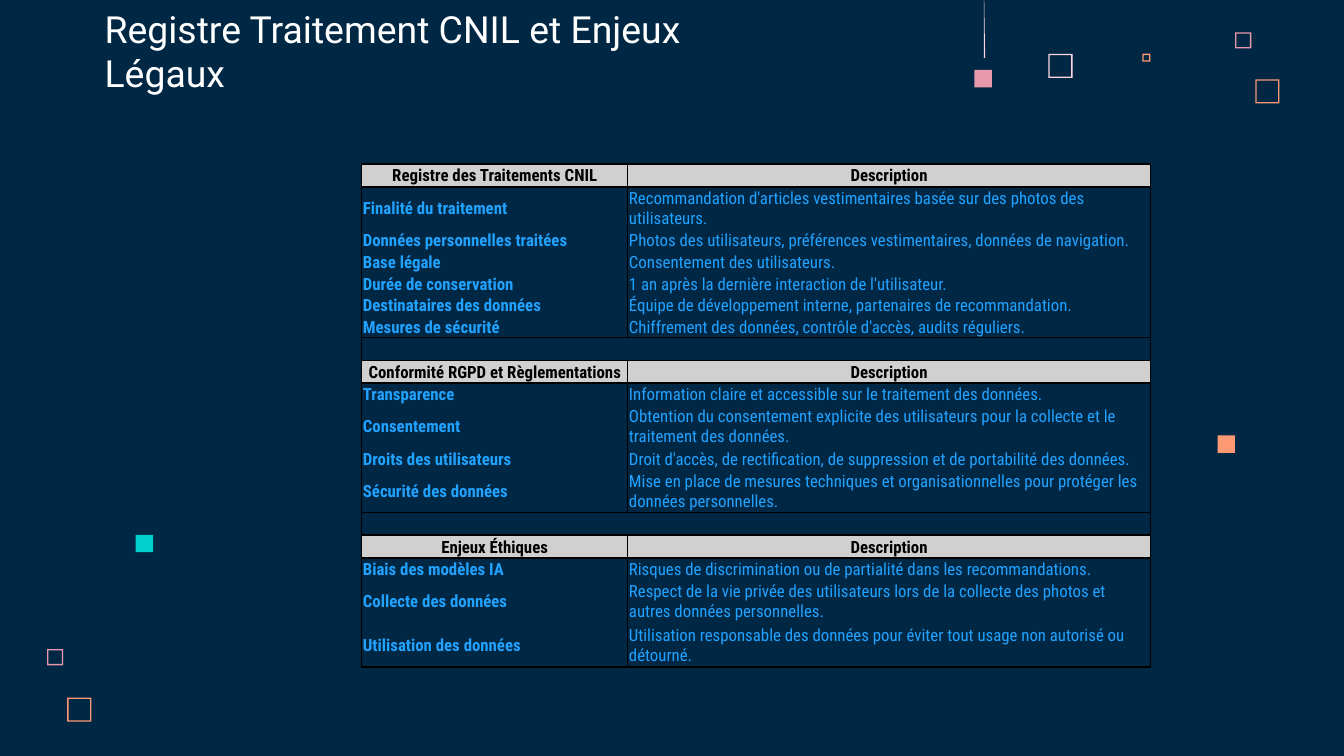
"""Build the slide on the CNIL register and its legal stakes."""
from typing import NamedTuple

from lxml.etree import SubElement
from pptx import Presentation
from pptx.dml.color import RGBColor
from pptx.enum.shapes import MSO_SHAPE as Kind
from pptx.enum.text import MSO_ANCHOR as Anchor, PP_ALIGN as Align
from pptx.oxml.ns import qn
from pptx.util import Inches, Pt

NAVY = RGBColor(0x00, 0x28, 0x45)
WHITE = RGBColor(0xFF, 0xFF, 0xFF)
BLACK = RGBColor(0x00, 0x00, 0x00)
BLUE = RGBColor(0x22, 0xA2, 0xFF)
GREY = RGBColor(0xD0, 0xD0, 0xD0)
PALE = RGBColor(0xFF, 0xD6, 0xE1)
PINK = RGBColor(0xE8, 0x98, 0xAC)
CORAL = RGBColor(0xFF, 0x99, 0x73)
TEAL = RGBColor(0x00, 0xCF, 0xCC)
NO_STYLE = "{2D5ABB26-0587-4C30-8999-92F81FD0307C}"


class Square(NamedTuple):
    left: float
    top: float
    size: float
    color: RGBColor


class Entry(NamedTuple):
    label: str
    text: str
    height: float = 0.16


class Section(NamedTuple):
    title: str
    entries: list[Entry]


FRAMES = [
    Square(7.8, 0.4, 0.18, PALE),
    Square(9.19, 0.24, 0.12, PINK),
    Square(8.5, 0.4, 0.06, CORAL),
    Square(9.34, 0.59, 0.18, CORAL),
    Square(0.35, 4.83, 0.12, PINK),
    Square(0.5, 5.19, 0.18, CORAL),
]
BLOCKS = [
    Square(7.25, 0.52, 0.13, PINK),
    Square(1.01, 3.98, 0.13, TEAL),
    Square(9.06, 3.24, 0.13, CORAL),
]
SECTIONS = [
    Section("Registre des Traitements CNIL", [
        Entry("Finalité du traitement", "Recommandation d'articles vestimentaires "
              "basée sur des photos des utilisateurs.", 0.32),
        Entry("Données personnelles traitées", "Photos des utilisateurs, préférences "
              "vestimentaires, données de navigation."),
        Entry("Base légale", "Consentement des utilisateurs."),
        Entry("Durée de conservation",
              "1 an après la dernière interaction de l'utilisateur."),
        Entry("Destinataires des données",
              "Équipe de développement interne, partenaires de recommandation."),
        Entry("Mesures de sécurité",
              "Chiffrement des données, contrôle d'accès, audits réguliers."),
    ]),
    Section("Conformité RGPD et Règlementations", [
        Entry("Transparence",
              "Information claire et accessible sur le traitement des données."),
        Entry("Consentement", "Obtention du consentement explicite des utilisateurs "
              "pour la collecte et le traitement des données.", 0.32),
        Entry("Droits des utilisateurs", "Droit d'accès, de rectification, de "
              "suppression et de portabilité des données."),
        Entry("Sécurité des données", "Mise en place de mesures techniques et "
              "organisationnelles pour protéger les données personnelles.", 0.32),
    ]),
    Section("Enjeux Éthiques", [
        Entry("Biais des modèles IA",
              "Risques de discrimination ou de partialité dans les recommandations."),
        Entry("Collecte des données", "Respect de la vie privée des utilisateurs lors "
              "de la collecte des photos et autres données personnelles.", 0.32),
        Entry("Utilisation des données", "Utilisation responsable des données pour "
              "éviter tout usage non autorisé ou détourné.", 0.33),
    ]),
]


def paint(shape, color: RGBColor) -> None:
    shape.shadow.inherit = False
    shape.fill.solid()
    shape.fill.fore_color.rgb = color
    shape.line.fill.background()


def add_path(slide, rings: list, color: RGBColor) -> None:
    rings = [[(Inches(x), Inches(y)) for x, y in ring] for ring in rings]
    path = slide.shapes.build_freeform(*rings[0][0])
    path.add_line_segments(rings[0][1:])
    for ring in rings[1:]:
        path.move_to(*ring[0])
        path.add_line_segments(ring[1:])
    paint(path.convert_to_shape(), color)


def add_frame(slide, item: Square) -> None:
    x, y, size, color = item
    x2, y2, rim = x + size, y + size, 0.01
    outer = [(x, y), (x, y2), (x2, y2), (x2, y)]
    inner = [(x2 - rim, y + rim), (x2 - rim, y2 - rim),
             (x + rim, y2 - rim), (x + rim, y + rim)]
    add_path(slide, [outer, inner], color)


def add_block(slide, item: Square) -> None:
    box = (item.left, item.top, item.size, item.size)
    paint(slide.shapes.add_shape(Kind.RECTANGLE, *map(Inches, box)), item.color)


def add_run(para, text: str, size: float, font: str, color: RGBColor,
            bold: bool = False) -> None:
    run = para.add_run()
    run.text = text
    run.font.size = Pt(size)
    run.font.name = font
    run.font.bold = bold
    run.font.color.rgb = color


def add_title(slide, text: str) -> None:
    box = slide.shapes.add_textbox(Inches(0.68), Inches(0.18), Inches(5.05), Inches(0.63))
    frame = box.text_frame
    frame.word_wrap = True
    frame.vertical_anchor = Anchor.BOTTOM
    frame.margin_left = frame.margin_right = Inches(0.1)
    frame.margin_top = frame.margin_bottom = Inches(0.1)
    add_run(frame.paragraphs[0], text, 20, "Roboto", WHITE)


def style_cell(cell, sides: str, fill: RGBColor | None = None) -> None:
    cell.vertical_anchor = Anchor.MIDDLE
    cell.margin_left = cell.margin_right = cell.margin_top = Inches(0.01)
    cell.margin_bottom = 0
    props = cell._tc.get_or_add_tcPr()
    for side in "LRTB":
        line = SubElement(props, qn(f"a:ln{side}"), w=str(Pt(1)))
        if side in sides:
            solid = SubElement(line, qn("a:solidFill"))
            SubElement(solid, qn("a:srgbClr"), val=str(BLACK))
        else:
            SubElement(line, qn("a:noFill"))
    if fill is None:
        cell.fill.background()
    else:
        cell.fill.solid()
        cell.fill.fore_color.rgb = fill


def fill_row(table, row: int, pair: tuple[str, str], sides: str, head: bool) -> None:
    for col, text in enumerate(pair):
        cell = table.cell(row, col)
        style_cell(cell, sides, GREY if head else None)
        para = cell.text_frame.paragraphs[0]
        para.alignment = Align.CENTER if head else Align.LEFT
        add_run(para, text, 9, "Roboto Condensed", BLACK if head else BLUE,
                head or col == 0)


def add_gap(table, row: int) -> None:
    cell = table.cell(row, 0)
    cell.merge(table.cell(row, 1))
    for part in (cell, table.cell(row, 1)):
        style_cell(part, "LRTB")
        SubElement(part.text_frame.paragraphs[0]._p, qn("a:endParaRPr"), sz="900")


def add_register(slide, sections: list[Section]) -> None:
    count = sum(len(sec.entries) + 2 for sec in sections) - 1
    table = slide.shapes.add_table(count, 2, Inches(2.69), Inches(1.22),
                                   Inches(5.87), Inches(3.74)).table
    table.first_row = table.horz_banding = False
    table._tbl.tblPr.find(qn("a:tableStyleId")).text = NO_STYLE
    for col, width in zip(table.columns, (1.98, 3.89)):
        col.width = Inches(width)
    for line in table.rows:
        line.height = Inches(0.17)
    row = 0
    for sec in sections:
        if row:
            add_gap(table, row)
            row += 1
        fill_row(table, row, (sec.title, "Description"), "LRTB", True)
        for pos, entry in enumerate(sec.entries, 1):
            row += 1
            table.rows[row].height = Inches(entry.height)
            sides = "LR" + "T" * (pos == 1) + "B" * (pos == len(sec.entries))
            fill_row(table, row, (entry.label, entry.text), sides, False)
        row += 1


def main() -> None:
    deck = Presentation()
    deck.slide_width = Inches(10)
    deck.slide_height = deck.slide_width * 9 // 16
    slide = deck.slides.add_slide(deck.slide_layouts[6])
    slide.background.fill.solid()
    slide.background.fill.fore_color.rgb = NAVY
    for item in FRAMES:
        add_frame(slide, item)
    for item in BLOCKS:
        add_block(slide, item)
    add_path(slide, [[(7.32, -0.18), (7.32, 0.43), (7.33, 0.43)]], PALE)
    add_title(slide, "Registre Traitement CNIL et Enjeux Légaux")
    add_register(slide, SECTIONS)
    deck.save("out.pptx")


if __name__ == "__main__":
    main()
